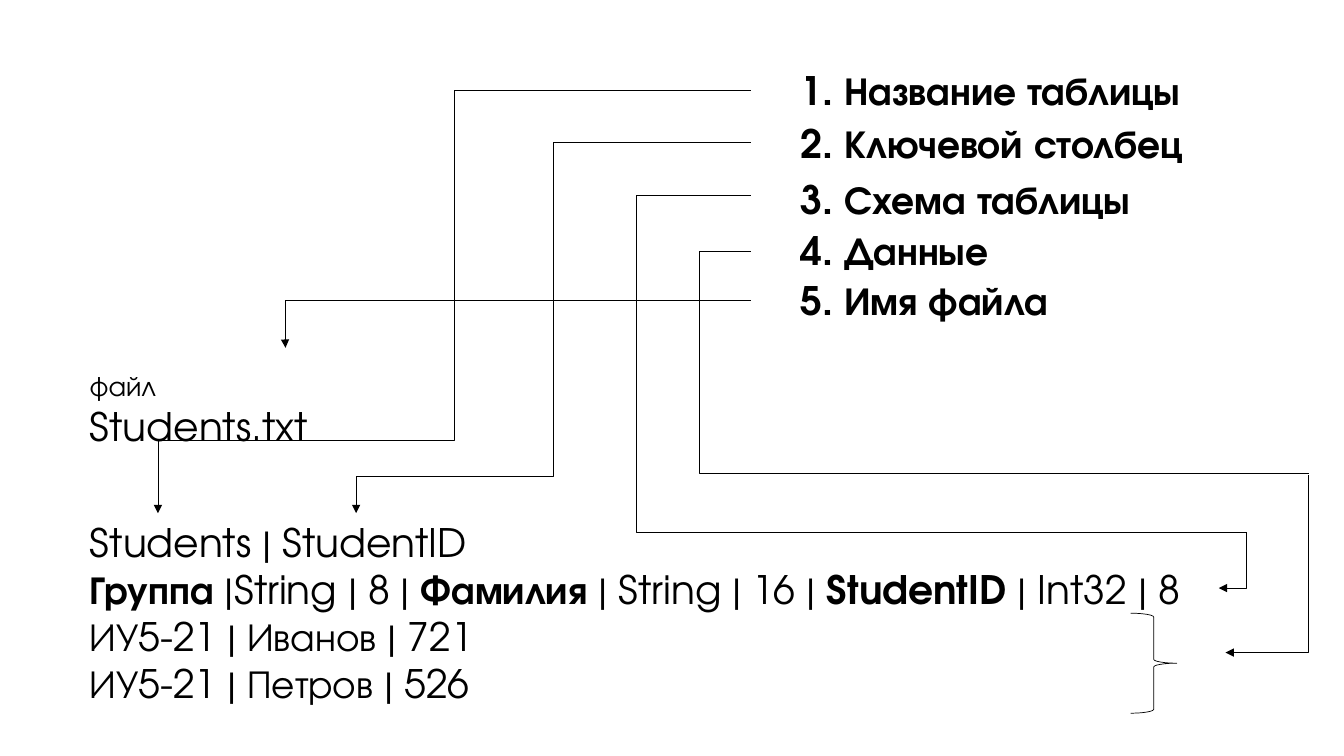
from dataclasses import dataclass
from typing import Optional

from lxml.etree import SubElement as Sub
from pptx import Presentation
from pptx.dml.color import RGBColor
from pptx.enum.shapes import MSO_CONNECTOR as Link, MSO_SHAPE as Kind
from pptx.oxml.ns import qn
from pptx.util import Inches, Pt

COLS, ROWS = 160, 90
WIDTH, HEIGHT = Inches(13.333), Inches(7.5)
FONT = "TeX Gyre Adventor"
INK = "000000"
START = 89.4
MARGIN = 9.5
LINE = 6.8


@dataclass
class Label:
    text: str
    row: float
    width: float


@dataclass
class Wire:
    x1: float
    y1: float
    x2: float
    y2: float
    turn: Optional[float] = None
    arrow: bool = False


@dataclass
class Run:
    text: str
    bold: bool = False
    size: int = 28


LABELS = [
    Label("1. Название таблицы", 7.3, 54.4),
    Label("2. Ключевой столбец", 13.6, 54.4),
    Label("3. Схема таблицы", 20.3, 46.1),
    Label("4. Данные", 26.4, 46.1),
    Label("5. Имя файла", 32.3, 46.1),
]

WIRES = [
    Wire(START, 10.8, 18.8, 52.4, turn=54.1),
    Wire(18.8, 52.4, 18.8, 61.1, arrow=True),
    Wire(42.4, 56.7, 42.4, 61.1, arrow=True),
    Wire(START, 16.9, 42.4, 56.7, turn=65.9),
    Wire(START, 23.2, 148.4, 63.4, turn=75.8),
    Wire(148.4, 63.4, 145.1, 70, turn=148.4, arrow=True),
    Wire(START, 29.9, 155.8, 56.4, turn=83.3),
    Wire(155.8, 56.6, 145.9, 77.7, turn=155.8, arrow=True),
    Wire(START, 35.8, 34, 41.4, turn=33.95, arrow=True),
]

FILE = [[Run("файл ", size=20), Run("\v"), Run("Students.txt")]]

DATA = [
    [Run("Students | StudentID")],
    [
        Run("Группа", bold=True), Run(" |String | 8 | "),
        Run("Фамилия", bold=True), Run(" | String | 16 | "),
        Run("StudentID", bold=True), Run(" | Int32 | 8"),
    ],
    [Run("ИУ5-21 | Иванов | 721")],
    [Run("ИУ5-21 | Петров | 526")],
]


def color(code: str) -> RGBColor:
    return RGBColor.from_string(code)


def across(cols: float) -> int:
    return round(WIDTH * cols / COLS)


def down(rows: float) -> int:
    return round(HEIGHT * rows / ROWS)


def write(slide, lines: list, *, x: float, y: float, w: float, h: float,
          font: str = FONT, ink: str = INK) -> None:
    box = slide.shapes.add_textbox(across(x), down(y), across(w), down(h))
    frame = box.text_frame
    frame.word_wrap = True
    for n, line in enumerate(lines):
        para = frame.paragraphs[0] if n == 0 else frame.add_paragraph()
        for part in line:
            if part.text == "\v":
                para.add_line_break()
                continue
            run = para.add_run()
            run.text = part.text
            run.font.name = font
            run.font.size = Pt(part.size)
            run.font.bold = part.bold
            run.font.color.rgb = color(ink)


def stroke(shape) -> None:
    shape.line.color.rgb = color(INK)
    shape.line.width = Pt(0.5)


def draw(slide, wire: Wire) -> None:
    kind = Link.STRAIGHT if wire.turn is None else Link.ELBOW
    link = slide.shapes.add_connector(
        kind, across(wire.x1), down(wire.y1), across(wire.x2), down(wire.y2))
    stroke(link)
    props = link._element.spPr
    if wire.turn is not None:
        share = (wire.turn - wire.x1) / (wire.x2 - wire.x1)
        guides = props.find(qn("a:prstGeom")).get_or_add_avLst()
        Sub(guides, qn("a:gd"), name="adj1", fmla=f"val {round(share * 100000)}")
    if wire.arrow:
        Sub(props.find(qn("a:ln")), qn("a:tailEnd"), type="triangle")
    Sub(props, qn("a:effectLst"))


def brace(slide, x: float, y: float, w: float, h: float) -> None:
    shape = slide.shapes.add_shape(
        Kind.RIGHT_BRACE, across(x), down(y), across(w), down(h))
    shape.shadow.inherit = False
    shape.fill.background()
    stroke(shape)


def main() -> None:
    deck = Presentation()
    deck.slide_width, deck.slide_height = WIDTH, HEIGHT
    slide = deck.slides.add_slide(deck.slide_layouts.get_by_name("Blank"))
    write(slide, FILE, x=MARGIN, y=43.3, w=36.7, h=LINE)
    write(slide, DATA, x=MARGIN, y=61.1, w=141.6, h=23.9)
    for label in LABELS:
        write(slide, [[Run(label.text, bold=True)]],
              x=94.1, y=label.row, w=label.width, h=LINE)
    for wire in WIRES:
        draw(slide, wire)
    brace(slide, 134.6, 73, 5.5, 11.9)
    deck.save("out.pptx")


if __name__ == "__main__":
    main()
